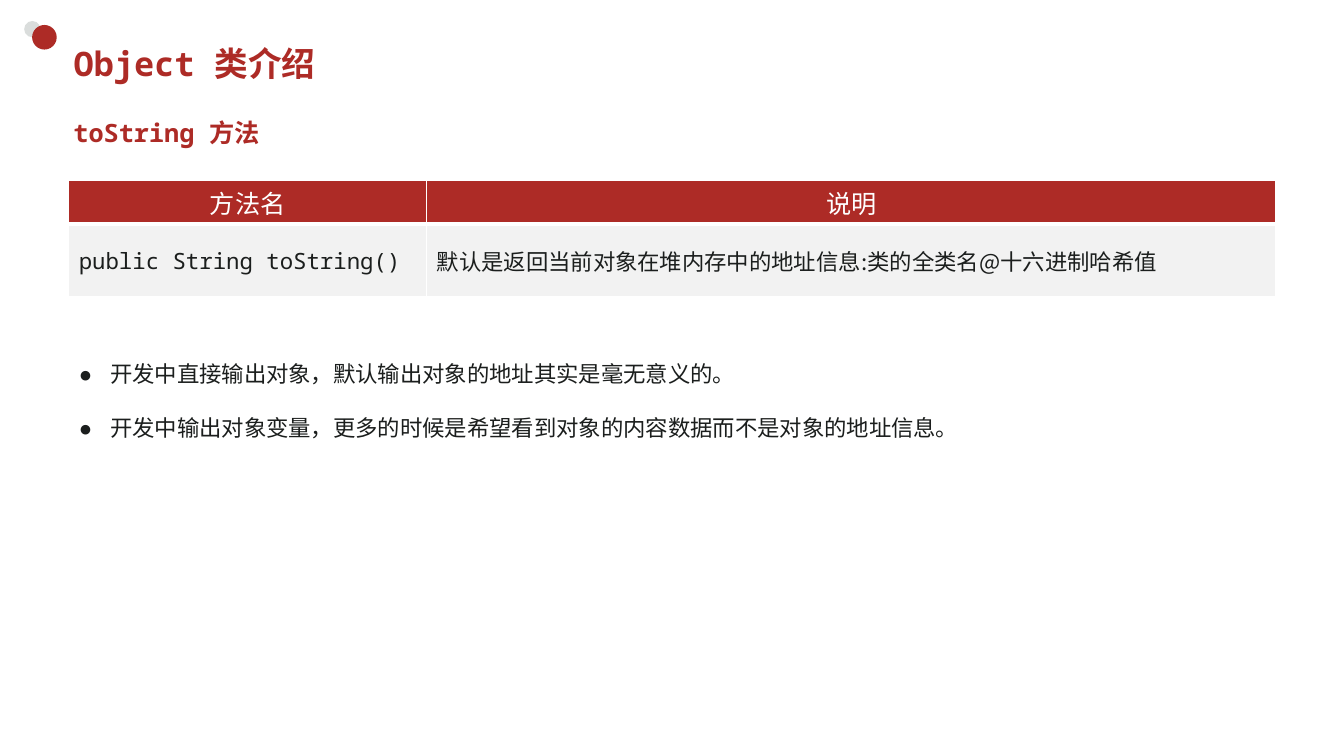
from lxml.etree import SubElement
from pptx import Presentation
from pptx.dml.color import RGBColor
from pptx.enum.shapes import MSO_SHAPE as Shape
from pptx.enum.text import MSO_ANCHOR as Anchor, MSO_AUTO_SIZE as AutoSize, PP_ALIGN as Align
from pptx.oxml.ns import qn
from pptx.util import Cm, Pt

COLORS = {"red": "AD2B26", "gray": "DADDDC", "ink": "1B1E1D", "row": "F2F2F2", "white": "FFFFFF"}
MONO, SANS, ROBOTO = "Noto Sans Mono", "Noto Sans CJK JP", "Roboto"

TITLE = "Object 类介绍"
SUBTITLE = "toString 方法"
HEADERS = ["方法名", "说明"]
METHOD = [
    ("public String toString()", MONO),
    ("默认是返回当前对象在堆内存中的地址信息:类的全类名@十六进制哈希值", SANS),
]
BULLETS = [
    "开发中直接输出对象，默认输出对象的地址其实是毫无意义的。",
    "开发中输出对象变量，更多的时候是希望看到对象的内容数据而不是对象的地址信息。",
]
DOTS = [(0.61, 0.53, 0.41, "gray"), (0.81, 0.63, 0.62, "red")]
COLUMN_WIDTHS = [9.02, 21.39]
ROW_HEIGHTS = [1.04, 1.83]
THIN, THICK = 1, 3


def color(name):
    return RGBColor.from_string(COLORS[name])


def add_span(para, text, size, font, ink, bold=False):
    span = para.add_run()
    span.text = text
    span.font.size = Pt(size)
    span.font.name = font
    span.font.bold = bold
    span.font.color.rgb = color(ink)
    SubElement(span._r.get_or_add_rPr(), qn("a:ea"), typeface=font)


def place(box, left, top, width, height):
    box.left, box.top, box.width, box.height = Cm(left), Cm(top), Cm(width), Cm(height)


def add_bullet(para):
    props = para._p.get_or_add_pPr()
    props.set("marL", str(Cm(0.79)))
    props.set("indent", str(-Cm(0.79)))
    SubElement(props, qn("a:buFont"), typeface=MONO)
    SubElement(props, qn("a:buChar"), char="●")


def style_cell(cell, fill, top, bottom):
    props = cell._tc.get_or_add_tcPr()
    for side, width in (("L", THIN), ("R", THIN), ("T", top), ("B", bottom)):
        line = SubElement(props, qn(f"a:ln{side}"), w=str(Pt(width)))
        SubElement(SubElement(line, qn("a:solidFill")), qn("a:srgbClr"), val=COLORS["white"])
    cell.fill.solid()
    cell.fill.fore_color.rgb = color(fill)
    cell.vertical_anchor = Anchor.MIDDLE


deck = Presentation()
deck.slide_width, deck.slide_height = Cm(33.86), Cm(19.05)
page = deck.slides.add_slide(deck.slide_layouts[1])
title, body = page.placeholders[0], page.placeholders[1]

for left, top, size, fill in DOTS:
    dot = page.shapes.add_shape(Shape.OVAL, Cm(left), Cm(top), Cm(size), Cm(size))
    dot.shadow.inherit = False
    dot.fill.solid()
    dot.fill.fore_color.rgb = color(fill)
    dot.line.fill.background()

place(title, 1.6, 0.94, 29.82, 1.32)
title.text_frame.auto_size = AutoSize.NONE
title.text_frame.vertical_anchor = Anchor.MIDDLE
para = title.text_frame.paragraphs[0]
para.alignment = Align.LEFT
add_span(para, TITLE, 24, MONO, "red", True)

subtitle = page.shapes.add_textbox(Cm(1.6), Cm(2.82), Cm(16.94), Cm(1.02))
subtitle.text_frame.word_wrap = True
add_span(subtitle.text_frame.paragraphs[0], SUBTITLE, 18, MONO, "red", True)

table = page.shapes.add_table(
    2, 2, Cm(1.73), Cm(4.55), Cm(sum(COLUMN_WIDTHS)), Cm(sum(ROW_HEIGHTS))
).table
for column, width in zip(table.columns, COLUMN_WIDTHS):
    column.width = Cm(width)
for row, height in zip(table.rows, ROW_HEIGHTS):
    row.height = Cm(height)
for index, header in enumerate(HEADERS):
    cell = table.cell(0, index)
    style_cell(cell, "red", THIN, THICK)
    para = cell.text_frame.paragraphs[0]
    para.alignment = Align.CENTER
    para.line_spacing = Pt(24)
    add_span(para, header, 18, ROBOTO, "white")
for index, (text, font) in enumerate(METHOD):
    cell = table.cell(1, index)
    style_cell(cell, "row", THICK, THIN)
    add_span(cell.text_frame.paragraphs[0], text, 16, font, "ink")

place(body, 1.73, 8.28, 31, 2.82)
frame = body.text_frame
frame.auto_size = AutoSize.NONE
for index, text in enumerate(BULLETS):
    para = frame.add_paragraph() if index else frame.paragraphs[0]
    add_bullet(para)
    para.line_spacing = 2.0
    para.space_before = Pt(0)
    add_span(para, text, 16, MONO, "ink")

deck.save("out.pptx")
